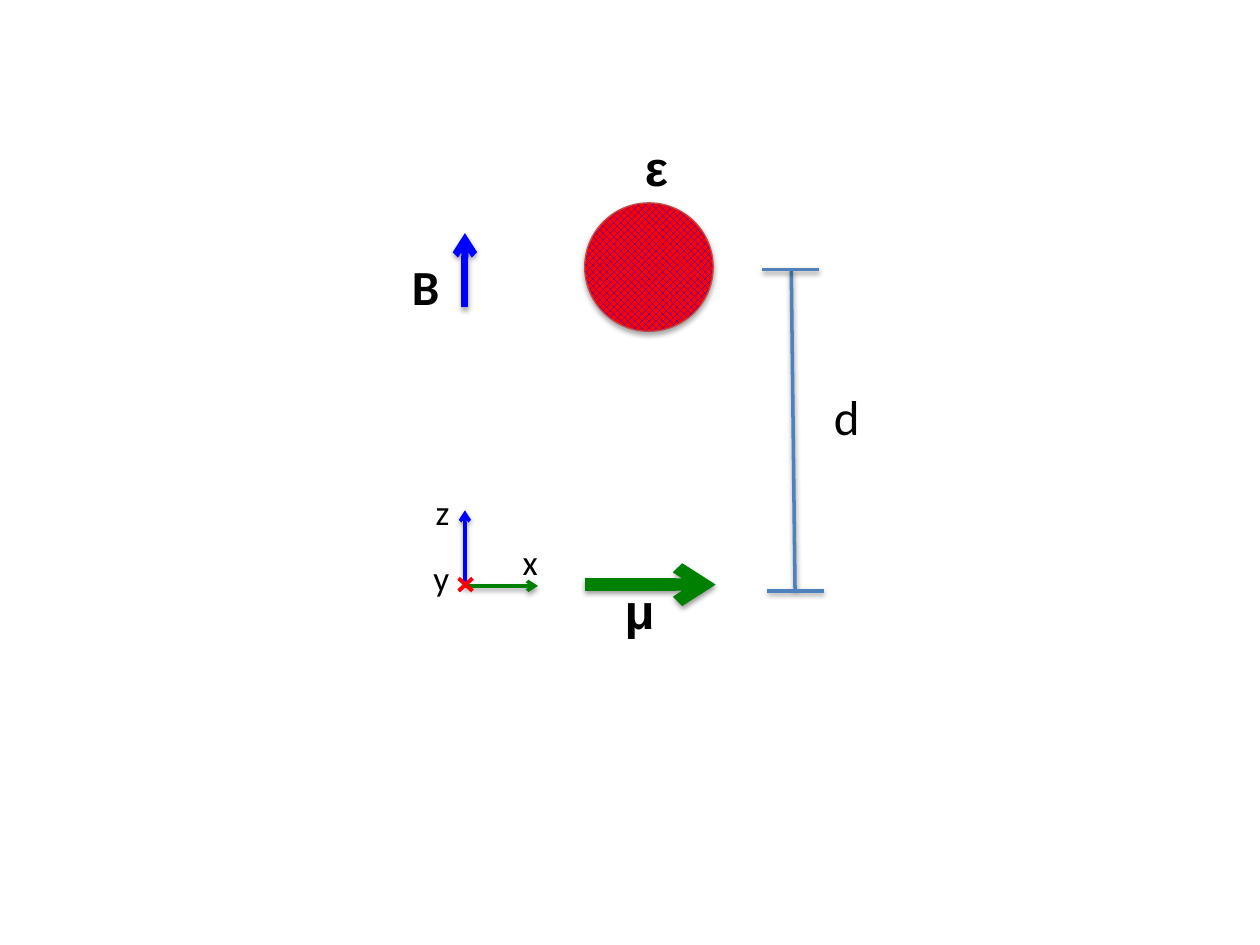
from pptx import Presentation
from pptx.dml.color import RGBColor
from pptx.enum.dml import MSO_PATTERN
from pptx.enum.shapes import MSO_CONNECTOR, MSO_SHAPE
from pptx.enum.text import MSO_AUTO_SIZE
from pptx.oxml.ns import qn
from pptx.util import Inches, Pt
from lxml import etree

STRAIGHT = MSO_CONNECTOR.STRAIGHT
ELLIPSE = MSO_SHAPE.OVAL
DIAMONDS = MSO_PATTERN.SOLID_DIAMOND
FIT_SHAPE = MSO_AUTO_SIZE.SHAPE_TO_FIT_TEXT

BLACK = RGBColor(0x00, 0x00, 0x00)
RED = RGBColor(0xFF, 0x00, 0x00)
GREEN = RGBColor(0x00, 0x80, 0x00)
BLUE = RGBColor(0x00, 0x00, 0xFF)
STEEL = RGBColor(0x4F, 0x81, 0xBD)
RIM = RGBColor(0xBF, 0x4C, 0x48)

SYMBOL = {"name": "Arial", "size": Pt(28), "bold": True}
FIELD = {"name": "Calibri", "size": Pt(28), "bold": True}
LENGTH = {"name": "Calibri", "size": Pt(28), "bold": False}
AXIS = {"name": "Calibri", "size": Pt(20), "bold": False}

AXIS_X = 3.69
MOMENT_Y = 4.64
PARTICLE_X = 4.64
ARROW_LENGTH = 0.59
GAUGE_WIDTH = 0.45


def set_shadow(shape, distance=None, opacity=38):
    """Drop a soft shadow straight down, or clear it when no distance is given."""
    effects = etree.SubElement(shape._element.spPr, qn("a:effectLst"))
    if distance is None:
        return
    shadow = etree.SubElement(effects, qn("a:outerShdw"), blurRad=str(Pt(3.1)),
                              dist=str(Pt(distance)), dir="5400000", rotWithShape="0")
    color = etree.SubElement(shadow, qn("a:srgbClr"), val=str(BLACK))
    etree.SubElement(color, qn("a:alpha"), val=str(opacity * 1000))


def add_line(page, start, end, color, width, arrow=False, shadow=1.6):
    points = [Inches(value) for value in (*start, *end)]
    line = page.shapes.add_connector(STRAIGHT, *points)
    line.line.color.rgb = color
    line.line.width = Pt(width)
    if arrow:
        etree.SubElement(line.line._get_or_add_ln(), qn("a:tailEnd"), type="arrow")
    set_shadow(line, shadow)


def add_label(page, text, left, top, width, height, style, wrap=False):
    box = page.shapes.add_textbox(*map(Inches, (left, top, width, height)))
    box.text_frame.word_wrap = wrap
    box.text_frame.auto_size = FIT_SHAPE
    span = box.text_frame.paragraphs[0].add_run()
    span.text = text
    for name, value in style.items():
        setattr(span.font, name, value)
    span.font.color.rgb = BLACK


def add_particle(page, left, top, diameter):
    particle = page.shapes.add_shape(ELLIPSE, *map(Inches, (left, top, diameter, diameter)))
    particle.fill.patterned()
    particle.fill.pattern = DIAMONDS
    particle.fill.fore_color.rgb = BLUE
    particle.fill.back_color.rgb = RED
    particle.line.color.rgb = RIM
    particle.line.width = Pt(0.75)
    set_shadow(particle, 1.8, 35)


def add_distance_gauge(page):
    add_line(page, (6.28, 2.14), (6.31, 4.68), STEEL, 2)
    for left, y in ((6.05, 2.14), (6.09, 4.69)):
        add_line(page, (left, y), (left + GAUGE_WIDTH, y), STEEL, 2)
    add_label(page, "d", 6.52, 3.02, 0.41, 0.57, LENGTH)


def add_up_arrow(page, bottom, width):
    add_line(page, (AXIS_X, bottom), (AXIS_X, bottom - ARROW_LENGTH), BLUE, width, arrow=True)


def add_axes(page):
    add_up_arrow(page, MOMENT_Y, 2)
    add_line(page, (3.68, 4.65), (3.68 + ARROW_LENGTH, 4.65), GREEN, 2, arrow=True)
    for text, left, top in (("x", 4.05, 4.24), ("y", 3.34, 4.37), ("z", 3.36, 3.84)):
        add_label(page, text, left, top, 0.32, 0.44, AXIS)
    for start_y, end_y in ((4.69, 4.59), (4.59, 4.69)):
        add_line(page, (3.64, start_y), (3.75, end_y), RED, 2.25, shadow=None)


def main():
    deck = Presentation()
    deck.slide_width, deck.slide_height = Inches(10), Inches(7.5)
    page = deck.slides.add_slide(deck.slide_layouts[6])

    add_label(page, "ε", 5.02, 1.04, 0.45, 0.57, SYMBOL, wrap=True)
    add_particle(page, PARTICLE_X, 1.61, 1.02)
    add_distance_gauge(page)
    add_line(page, (PARTICLE_X, MOMENT_Y), (5.68, MOMENT_Y), GREEN, 7, arrow=True)
    add_label(page, "μ", 4.86, 4.56, 0.45, 0.57, SYMBOL, wrap=True)
    add_up_arrow(page, 2.44, 4)
    add_label(page, "B", 3.17, 1.99, 0.42, 0.57, FIELD)
    add_axes(page)
    deck.save("out.pptx")


if __name__ == "__main__":
    main()
